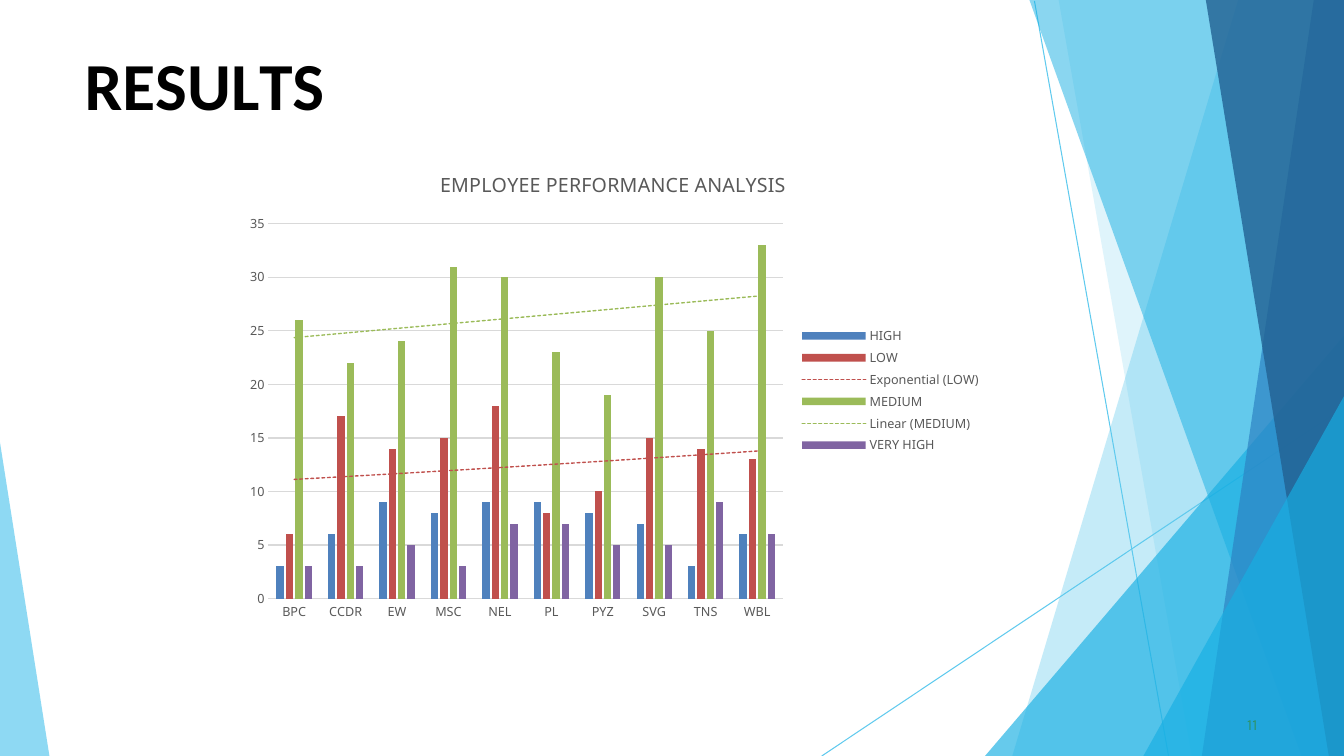
"""Build the employee performance results slide."""
from lxml import etree
from pptx import Presentation
from pptx.chart.data import CategoryChartData
from pptx.dml.color import RGBColor
from pptx.enum.chart import XL_CHART_TYPE, XL_LEGEND_POSITION, XL_TICK_MARK
from pptx.enum.shapes import MSO_CONNECTOR
from pptx.oxml import parse_xml
from pptx.oxml.ns import nsdecls, qn
from pptx.util import Inches, Pt

COLUMNS = XL_CHART_TYPE.COLUMN_CLUSTERED
LEGEND_RIGHT = XL_LEGEND_POSITION.RIGHT
NO_TICKS = XL_TICK_MARK.NONE
STRAIGHT = MSO_CONNECTOR.STRAIGHT

BLACK = RGBColor(0x00, 0x00, 0x00)
SKY = RGBColor(0x5F, 0xCA, 0xEE)
CYAN = RGBColor(0x17, 0xAF, 0xE3)
BLUE = RGBColor(0x2D, 0x83, 0xC3)
NAVY = RGBColor(0x22, 0x61, 0x92)
PAGE_GREEN = RGBColor(0x2D, 0x93, 0x6B)
GRAY = RGBColor(0x59, 0x59, 0x59)
GRID = RGBColor(0xD9, 0xD9, 0xD9)
HIGH_BLUE = RGBColor(0x4F, 0x81, 0xBD)
LOW_RED = RGBColor(0xC0, 0x50, 0x4D)
MEDIUM_GREEN = RGBColor(0x9B, 0xBB, 0x59)
VERY_HIGH_PURPLE = RGBColor(0x80, 0x64, 0xA2)

WIDTH, HEIGHT = 13.33, 7.5


def add_text(left, top, width, height, pieces, indent, before, size, name, color, bold=False):
    box = slide.shapes.add_textbox(Inches(left), Inches(top), Inches(width), Inches(height))
    frame = box.text_frame
    frame.word_wrap = True
    frame.margin_left = frame.margin_right = frame.margin_bottom = 0
    frame.margin_top = Inches(0.01)
    paragraph = frame.paragraphs[0]
    paragraph.space_before = Pt(before)
    paragraph._p.get_or_add_pPr().set("marL", str(Inches(indent)))
    style_font(paragraph.font, size, name, color, bold)
    for text, spacing in pieces:
        run = paragraph.add_run()
        run.text = text
        run._r.get_or_add_rPr().set("spc", str(spacing))


def style_font(font, size, name, color, bold=False):
    font.size = Pt(size)
    font.name = name
    font.bold = bold
    font.color.rgb = color


prs = Presentation()
prs.slide_width, prs.slide_height = Inches(WIDTH), Inches(HEIGHT)
slide = prs.slides.add_slide(prs.slide_layouts[6])

for x1, y1, x2, y2 in [(10.26, 0.01, 11.59, HEIGHT), (WIDTH, 4.04, 8.15, HEIGHT)]:
    ray = slide.shapes.add_connector(STRAIGHT, Inches(x1), Inches(y1), Inches(x2), Inches(y2))
    ray.line.color.rgb = SKY
    ray.line.width = Pt(0.75)
    etree.SubElement(ray._element.spPr, qn("a:effectLst"))

right_edge = [(WIDTH, HEIGHT), (WIDTH, 0)]
facets = [
    ([(12.28, 0), (10.04, HEIGHT)] + right_edge, SKY, 36),
    ([(10.5, 0), (11.82, HEIGHT)] + right_edge, SKY, 20),
    ([(WIDTH, 3.33), (9.77, HEIGHT), (WIDTH, HEIGHT)], CYAN, 66),
    ([(10.21, 0), (12.91, HEIGHT)] + right_edge, CYAN, 50),
    ([(13.03, 0), (11.92, HEIGHT)] + right_edge, BLUE, 70),
    ([(11.96, 0), (13.18, HEIGHT)] + right_edge, NAVY, 80),
    ([(WIDTH, 3.93), (11.34, HEIGHT), (WIDTH, HEIGHT)], CYAN, 66),
    ([(0, 4.39), (0, HEIGHT), (0.49, HEIGHT)], SKY, 70),
]
for corners, color, opacity in facets:
    points = [(Inches(x), Inches(y)) for x, y in corners]
    builder = slide.shapes.build_freeform(*points[0])
    builder.add_line_segments(points[1:], close=True)
    facet = builder.convert_to_shape()
    facet.shadow.inherit = False
    facet.line.fill.background()
    facet.fill.solid()
    facet.fill.fore_color.rgb = color
    color_element = facet._element.spPr.find(qn("a:solidFill"))[0]
    etree.SubElement(color_element, qn("a:alpha"), val=str(opacity * 1000))

title_pieces = [("R", 0), ("E", -40), ("S", 10), ("U", -30), ("L", -400), ("TS", 0)]
add_text(0.83, 0.42, 2.67, 0.81, title_pieces, 0.01, 1, 48, "Calibri", BLACK, bold=True)
add_text(12.33, 7.08, 0.25, 0.18, [("11", 10)], 0.04, 0.6, 11, "Karla", PAGE_GREEN)

ratings = [
    ("HIGH", (3, 6, 9, 8, 9, 9, 8, 7, 3, 6), HIGH_BLUE, None),
    ("LOW", (6, 17, 14, 15, 18, 8, 10, 15, 14, 13), LOW_RED, "exp"),
    ("MEDIUM", (26, 22, 24, 31, 30, 23, 19, 30, 25, 33), MEDIUM_GREEN, "linear"),
    ("VERY HIGH", (3, 3, 5, 3, 7, 7, 5, 5, 9, 6), VERY_HIGH_PURPLE, None),
]
data = CategoryChartData()
data.categories = ["BPC", "CCDR", "EW", "MSC", "NEL", "PL", "PYZ", "SVG", "TNS", "WBL"]
for rating, counts, _, _ in ratings:
    data.add_series(rating, counts)
chart = slide.shapes.add_chart(
    COLUMNS, Inches(2.33), Inches(1.5), Inches(7.5), Inches(4.75), data
).chart
style_font(chart.font, 10, "Noto Sans", BLACK)

chart.has_title = True
chart_title = chart.chart_title.text_frame
chart_title.text = "EMPLOYEE PERFORMANCE ANALYSIS"
style_font(chart_title.paragraphs[0].font, 14, "Noto Sans", GRAY)
chart.chart_title.include_in_layout = False

chart.has_legend = True
chart.legend.position = LEGEND_RIGHT
chart.legend.include_in_layout = False
style_font(chart.legend.font, 9, "Noto Sans", GRAY)

for axis in (chart.category_axis, chart.value_axis):
    axis.major_tick_mark = axis.minor_tick_mark = NO_TICKS
    style_font(axis.tick_labels.font, 9, "Noto Sans", GRAY)
chart.value_axis.minimum_scale = 0
chart.value_axis.maximum_scale = 35
chart.value_axis.major_unit = 5
chart.value_axis.format.line.fill.background()
for rule in (chart.category_axis.format.line, chart.value_axis.major_gridlines.format.line):
    rule.color.rgb = GRID
    rule.width = Pt(1)

plot = chart.plots[0]
plot.gap_width = 219
plot.overlap = -27
plot.vary_by_categories = False
for series, (_, _, color, trend) in zip(plot.series, ratings):
    series.format.fill.solid()
    series.format.fill.fore_color.rgb = color
    if trend:
        trendline = parse_xml(
            f'<c:trendline {nsdecls("c", "a")}><c:spPr><a:ln w="{Pt(1)}" cap="rnd">'
            f'<a:solidFill><a:srgbClr val="{color}"/></a:solidFill>'
            f'<a:prstDash val="sysDash"/></a:ln></c:spPr><c:trendlineType val="{trend}"/>'
            '<c:dispRSqr val="0"/><c:dispEq val="0"/></c:trendline>'
        )
        series._element.find(qn("c:cat")).addprevious(trendline)

prs.save("out.pptx")
